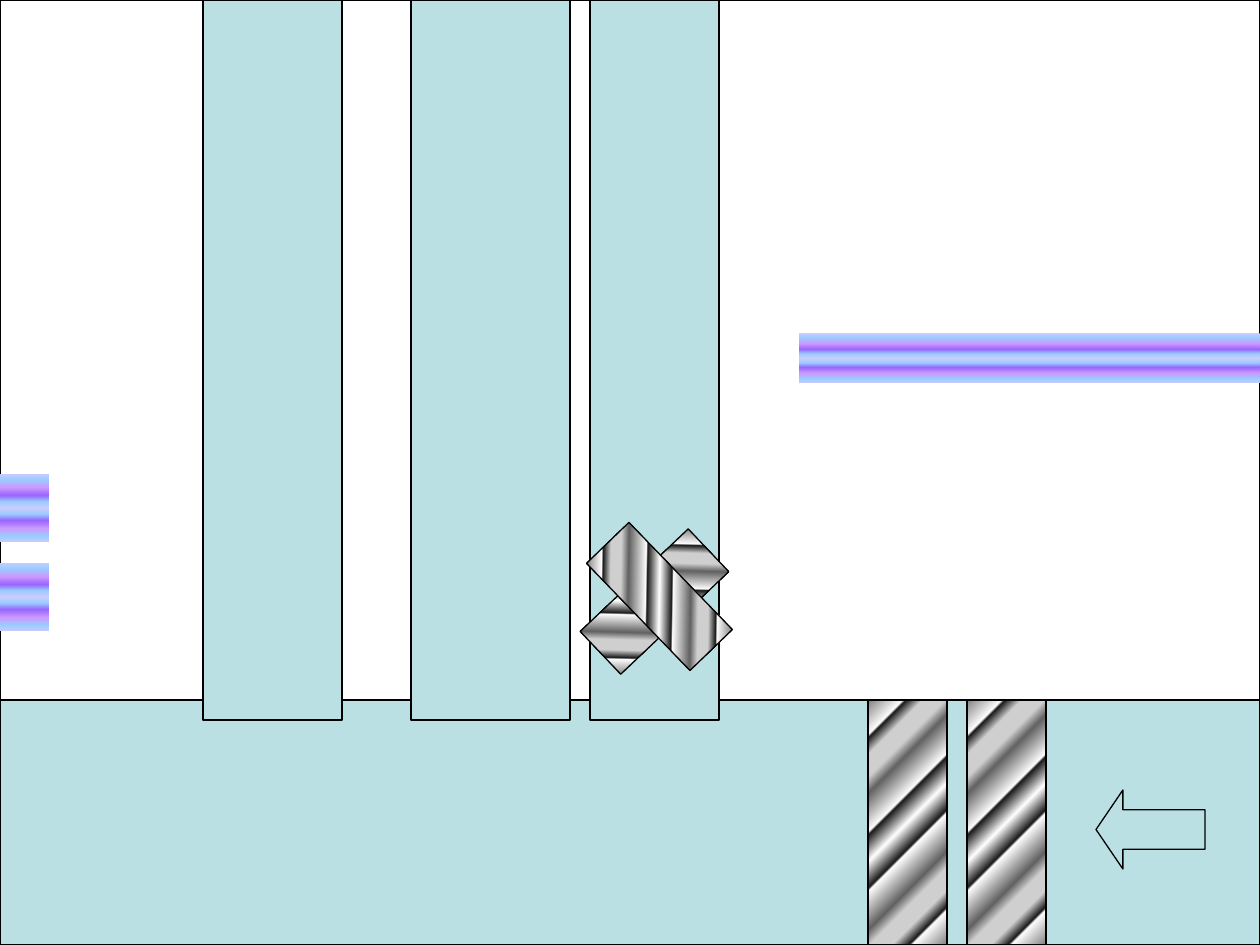
from lxml.etree import SubElement
from pptx import Presentation
from pptx.dml.color import RGBColor
from pptx.enum.shapes import MSO_SHAPE
from pptx.oxml.ns import qn
from pptx.util import Emu, Pt

WIDE, HIGH = 1260, 945
SCALE = 914400 / 126  # EMU per pixel

BLACK = RGBColor(0x00, 0x00, 0x00)
WHITE = RGBColor(0xFF, 0xFF, 0xFF)
AQUA = RGBColor(0xBB, 0xE0, 0xE3)
GREY = RGBColor(0x7F, 0x7F, 0x7F)
DARK = RGBColor(0x1F, 0x1F, 0x1F)
PALE = RGBColor(0xCF, 0xCF, 0xCF)
STEEL = RGBColor(0x63, 0x63, 0x63)
MIST = RGBColor(0xCC, 0xCC, 0xFF)
SKY = RGBColor(0x99, 0xCC, 0xFF)
PINK = RGBColor(0xCC, 0x99, 0xFF)
VIOLET = RGBColor(0x99, 0x66, 0xFF)


def mirror(half):
    """Reflect the stops of a gradient about its middle, at 50 percent."""
    return half + [(100 - at, tone) for at, tone in reversed(half[:-1])]


CHROME = mirror([(0, GREY), (11, WHITE), (12, DARK), (17, PALE), (24, PALE),
                 (29, STEEL), (41, WHITE), (42, DARK), (50, WHITE)])
NEON = mirror([(0, MIST), (9, SKY), (20, PINK), (32, VIOLET), (41, SKY),
               (50, MIST)])


def px(size):
    return Emu(round(size * SCALE))


class Scene:
    """Holds the slide and the outline style shared by its shapes."""

    def __init__(self, slide, ink=BLACK, pen=0.75):
        self.slide, self.ink, self.pen = slide, ink, pen

    def shape(self, kind, box, turn=0, edge=True):
        item = self.slide.shapes.add_shape(kind, *map(px, box))
        item.shadow.inherit = False
        item.rotation = turn
        if edge:
            item.line.color.rgb = self.ink
            item.line.width = Pt(self.pen)
        else:
            item.line.fill.background()
        return item

    def block(self, box, fill):
        item = self.shape(MSO_SHAPE.RECTANGLE, box)
        item.fill.solid()
        item.fill.fore_color.rgb = fill

    def blend(self, box, stops, angle=0, turn=0, edge=True):
        item = self.shape(MSO_SHAPE.RECTANGLE, box, turn, edge)
        item.fill.gradient()
        item.fill.gradient_angle = -angle % 360
        ramp = item._element.spPr.find(qn("a:gradFill")).find(qn("a:gsLst"))
        ramp.clear()
        for at, tone in stops:
            stop = SubElement(ramp, qn("a:gs"), pos=str(at * 1000))
            SubElement(stop, qn("a:srgbClr"), val=str(tone))

    def arrow(self, box, fill, head, turn):
        item = self.shape(MSO_SHAPE.RIGHT_ARROW, box, turn)
        item.adjustments[1] = head
        item.fill.solid()
        item.fill.fore_color.rgb = fill


deck = Presentation()
deck.slide_width, deck.slide_height = px(WIDE), px(HIGH)
scene = Scene(deck.slides.add_slide(deck.slide_layouts[6]))

# Backdrop and floor
FLOOR = 700
DEPTH = HIGH - FLOOR
scene.block((0, 0, WIDE, HIGH), WHITE)
scene.block((0, FLOOR, WIDE, DEPTH), AQUA)

# Shafts that reach down into the floor
for left, width in ((203, 139), (411, 159), (590, 129)):
    scene.block((left, 0, width, FLOOR + 20), AQUA)

# Chrome gates
for left in (967, 868):
    scene.blend((left, FLOOR, 79, DEPTH), CHROME, angle=45)

# Neon beams
for box, turn in (((1004, 128, 50, 461), 90),
                  ((-10, 572, 69, 50), 270),
                  ((-10, 483, 69, 50), 270)):
    # Side beams are wider than tall before their quarter turn
    scene.blend(box, NEON, turn=turn, edge=False)

# Crossed chrome bars
for left, top, turn in ((625, 527, 226.5), (630, 522, 316)):
    scene.blend((left, top, 59, 149), CHROME, angle=45, turn=turn)

# Way in
scene.arrow((1096, 790, 109, 79), AQUA, head=0.34, turn=180)

deck.save("out.pptx")
